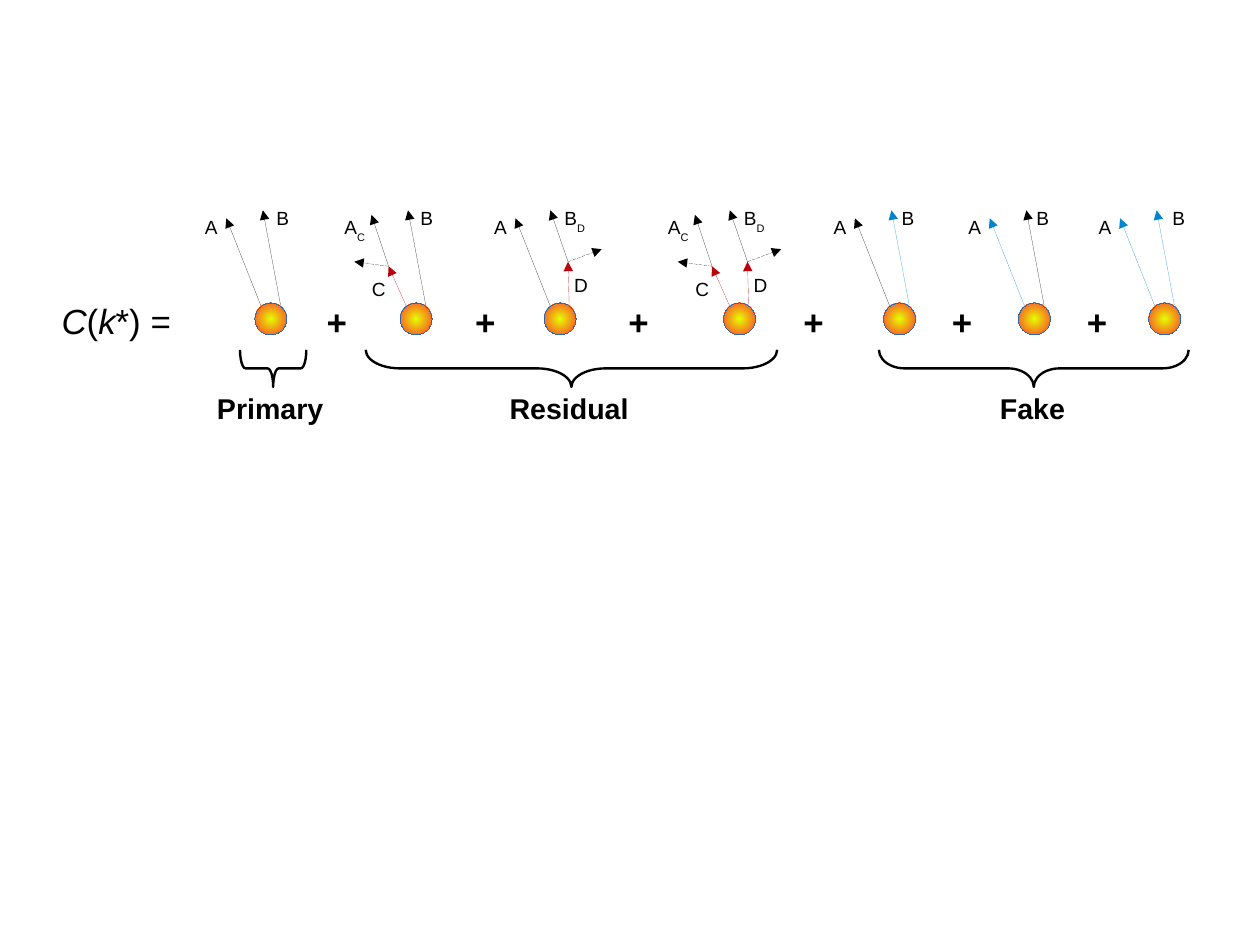
"""Draw the correlation function as a sum of primary, residual and fake pairs."""
from dataclasses import dataclass

from lxml import etree
from pptx import Presentation
from pptx.dml.color import RGBColor
from pptx.enum.dml import MSO_LINE
from pptx.enum.shapes import MSO_CONNECTOR, MSO_SHAPE
from pptx.oxml.ns import qn
from pptx.util import Cm, Pt

STRAIGHT = MSO_CONNECTOR.STRAIGHT
OVAL, BRACE = MSO_SHAPE.OVAL, MSO_SHAPE.LEFT_BRACE
DASH = MSO_LINE.SQUARE_DOT
WIDTH, HEIGHT = Cm(28), Cm(21)
COLUMNS, ROWS = 110.24, 82.68
BALL_ROW, BALL_SIZE = 26.5, 2.8
BRACE_ROW, BRACE_DEPTH, BRACE_CURVE = 30.6, 3.25, 1 / 12


@dataclass(frozen=True)
class Theme:
    """Colours, font and type sizes of the slide."""
    font: str = "Arial"
    ink: str = "000000"
    decay: str = "BB000B"
    fake: str = "0084D1"
    rim: str = "3465A4"
    core: str = "E6FF00"
    edge: str = "FF3333"
    label: int = 12
    heading: int = 18
    formula: int = 22
    hairline: float = 0
    brace: float = 1.5


def write(frame, *pieces, font, size, color, bold=False):
    """Write (text, style) pieces, style being '', 'italic' or 'sub'."""
    frame.word_wrap = True
    for text, style in pieces:
        run = frame.paragraphs[0].add_run()
        run.text = text
        run.font.name, run.font.size = font, Pt(size)
        run.font.bold, run.font.italic = bold, style == "italic"
        run.font.color.rgb = RGBColor.from_string(color)
        if style == "sub":
            run.font._element.set("baseline", "-33000")


class Diagram:
    """Draws the elements on a slide by grid columns and rows."""

    def __init__(self, slide, theme):
        """Keep the slide and its theme."""
        self.slide, self.theme = slide, theme

    def grid(self, column, row):
        """Turn a grid position or size into slide lengths."""
        return round(WIDTH * column / COLUMNS), round(HEIGHT * row / ROWS)

    def stroke(self, outlined, color, weight):
        """Colour an outline and state its weight, even when it is zero."""
        outlined.line.color.rgb = RGBColor.from_string(color)
        outline = outlined._element.spPr.find(qn("a:ln"))
        outline.set("w", str(Pt(weight)))
        return outline

    def text(self, column, row, width, height, *pieces, size, bold=False):
        """Place text on the grid."""
        box = self.slide.shapes.add_textbox(
            *self.grid(column, row), *self.grid(width, height))
        write(box.text_frame, *pieces, font=self.theme.font, size=size,
              color=self.theme.ink, bold=bold)

    def ball(self, column):
        """Draw the glowing emission source."""
        ball = self.slide.shapes.add_shape(
            OVAL, *self.grid(column, BALL_ROW), *self.grid(BALL_SIZE, BALL_SIZE))
        ball.shadow.inherit = False
        self.stroke(ball, self.theme.rim, self.theme.hairline)
        ball.fill.gradient()
        for stop, color in zip(ball.fill.gradient_stops,
                               (self.theme.core, self.theme.edge)):
            stop.color.rgb = RGBColor.from_string(color)
        gradient = ball._element.spPr.find(qn("a:gradFill"))
        gradient.remove(gradient.find(qn("a:lin")))
        glow = etree.SubElement(gradient, qn("a:path"), path="circle")
        etree.SubElement(glow, qn("a:fillToRect"),
                         dict.fromkeys("ltrb", "50000"))

    def arrow(self, start, end, color, dashed=False):
        """Draw a hairline arrow between two grid points."""
        track = self.slide.shapes.add_connector(
            STRAIGHT, *self.grid(*start), *self.grid(*end))
        outline = self.stroke(track, color, self.theme.hairline)
        if dashed:
            track.line.dash_style = DASH
        etree.SubElement(outline, qn("a:tailEnd"), type="triangle")
        etree.SubElement(track._element.spPr, qn("a:effectLst"))

    def brace(self, column, span):
        """Draw a brace lying below the pairs it gathers."""
        left = column + (span - BRACE_DEPTH) / 2
        top = BRACE_ROW + (BRACE_DEPTH - span) / 2
        brace = self.slide.shapes.add_shape(
            BRACE, *self.grid(left, top), *self.grid(BRACE_DEPTH, span))
        brace.rotation = 270
        brace.adjustments[0] = BRACE_CURVE * span / BRACE_DEPTH
        brace.shadow.inherit = False
        brace.fill.background()
        self.stroke(brace, self.theme.ink, self.theme.brace)

    def particle(self, column, color, start, end, label):
        """Draw a particle that flies straight from the source."""
        name, offset, row = label
        self.arrow((column + start[0], start[1]),
                   (column + end[0], end[1]), color)
        self.text(column + offset, row, 3, 2.9, (name, ""),
                  size=self.theme.label)

    def decay(self, column, tracks, labels):
        """Draw a parent particle with its daughter and its dashed recoil."""
        start, vertex, daughter, recoil = ((column + x, y) for x, y in tracks)
        self.arrow(start, vertex, self.theme.decay)
        self.arrow(vertex, daughter, self.theme.ink)
        self.arrow(vertex, recoil, self.theme.ink, dashed=True)
        (name, offset, row), (parent, parent_offset, parent_row) = labels
        self.text(column + offset, row, 4.2, 3.3, (name, ""), (parent, "sub"),
                  size=self.theme.label)
        self.text(column + parent_offset, parent_row, 3.5, 3.2, (parent, ""),
                  size=self.theme.label)

    def pair(self, column, a_kind, b_kind, b_offset):
        """Draw the source with its A and B tracks, direct, fake or decayed."""
        colors = {"direct": self.theme.ink, "fake": self.theme.fake}
        self.ball(column)
        if a_kind == "decay":
            self.decay(column, ((0.55, 26.8), (-1, 23.3), (-2.5, 18.8), (-4, 22.9)),
                       (("A", -5.85, 18.4), ("C", -3.45, 23.8)))
        else:
            self.particle(column, colors[a_kind], (0.55, 26.8), (-2.5, 19.1),
                          ("A", -5.35, 18.4))
        if b_kind == "decay":
            self.decay(column, ((2.2, 26.7), (2.1, 22.9), (0.55, 18.4), (5.05, 21.8)),
                       (("B", b_offset, 17.6), ("D", 1.65, 23.4)))
        else:
            self.particle(column, colors[b_kind], (2.25, 26.7), (0.7, 18.4),
                          ("B", b_offset, 17.6))


def main():
    """Build and save the slide."""
    deck = Presentation()
    deck.slide_width, deck.slide_height = WIDTH, HEIGHT
    theme = Theme()
    diagram = Diagram(deck.slides.add_slide(deck.slide_layouts[6]), theme)

    pairs = ((22.3, "direct", "direct", 0.9), (35, "decay", "direct", 0.8),
             (47.6, "direct", "decay", 0.8), (63.3, "decay", "decay", 0.8),
             (77.3, "direct", "fake", 0.6), (89.1, "fake", "direct", 0.6),
             (100.5, "fake", "fake", 1.1))
    for pair in pairs:
        diagram.pair(*pair)

    for column in (27.6, 40.6, 54, 69.3, 82.3, 94.1):
        diagram.text(column, 25.8, 4, 4.4, ("+", ""),
                     size=theme.formula, bold=True)
    diagram.text(4.4, 25.7, 13, 4.4, ("C", "italic"), ("(", ""),
                 ("k", "italic"), ("*) =", ""), size=theme.formula)

    groups = (("Primary", 21, 5.8, 18, 11.8), ("Residual", 32, 36, 43.6, 13),
              ("Fake", 76.9, 27.1, 86.5, 8))
    for name, column, span, name_column, name_width in groups:
        diagram.brace(column, span)
        diagram.text(name_column, 33.7, name_width, 4.4, (name, ""),
                     size=theme.heading, bold=True)

    deck.save("out.pptx")


if __name__ == "__main__":
    main()
